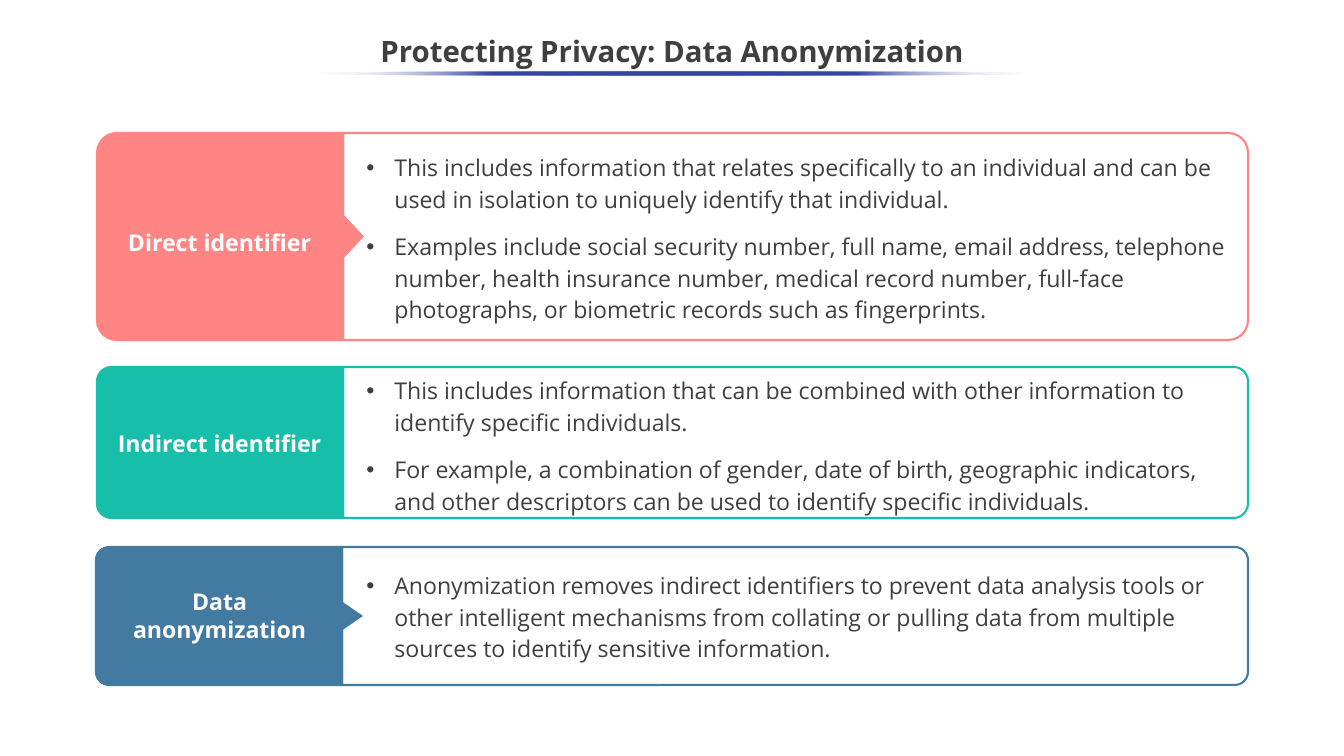
from lxml.etree import SubElement
from pptx import Presentation
from pptx.dml.color import RGBColor
from pptx.enum.shapes import MSO_SHAPE
from pptx.enum.text import MSO_ANCHOR, PP_ALIGN
from pptx.oxml import parse_xml
from pptx.oxml.ns import nsdecls, qn
from pptx.util import Pt

PX = 12095  # EMU per px, 75.6 px to the inch
FONT = "Open Sans"
DARK = RGBColor(0x3F, 0x3F, 0x3F)
WHITE = RGBColor(0xFF, 0xFF, 0xFF)
CORAL = RGBColor(0xFF, 0x85, 0x85)
TEAL = RGBColor(0x17, 0xBF, 0xAB)
BLUE = RGBColor(0x42, 0x7A, 0xA1)
NAVY = RGBColor(0x36, 0x45, 0xA9)


class Deck:
    def __init__(self, width, height):
        self.prs = Presentation()
        self.prs.slide_width, self.prs.slide_height = width * PX, height * PX
        self.s = self.prs.slides.add_slide(self.prs.slide_layouts[5])

    def font(self, p, size, color, bold=False):
        for r in p.runs:
            r.font.name, r.font.size, r.font.bold = FONT, Pt(size), bold
            r.font.color.rgb = color

    def title(self, text, x, y, w, h):
        sp = self.s.shapes.title
        sp.left, sp.top, sp.width, sp.height = (v * PX for v in (x, y, w, h))
        tf = sp.text_frame
        tf.text, tf.vertical_anchor = text, MSO_ANCHOR.MIDDLE
        p = tf.paragraphs[0]
        p.alignment, p.line_spacing = PP_ALIGN.CENTER, 0.9
        self.font(p, 28, DARK, True)

    def shape(self, kind, x, y, w, h, fill, line=None, width=2, turn=0):
        """Place a shape by its visible bounds, with quarter turns applied."""
        cx, cy = x + w / 2, y + h / 2
        if turn % 180:
            w, h = h, w
        box = (cx - w / 2, cy - h / 2, w, h)
        sp = self.s.shapes.add_shape(kind, *(int(v * PX) for v in box))
        sp.rotation = turn
        sp.shadow.inherit = False
        sp.fill.solid()
        sp.fill.fore_color.rgb = fill
        if line is None:
            sp.line.fill.background()
        else:
            sp.line.color.rgb, sp.line.width = line, Pt(width)
        return sp

    def rounded(self, x, y, w, h, fill, line, turn):
        sp = self.shape(MSO_SHAPE.ROUND_2_SAME_RECTANGLE, x, y, w, h, fill, line, turn=turn)
        sp.adjustments[0], sp.adjustments[1] = 0.095, 0

    def label(self, text, x, y, w, h, fill):
        sp = self.shape(MSO_SHAPE.RECTANGLE, x, y, w, h, fill, fill, 0.75)
        tf = sp.text_frame
        tf.text, tf.word_wrap, tf.vertical_anchor = text, True, MSO_ANCHOR.TOP
        tf.paragraphs[0].alignment = PP_ALIGN.CENTER
        self.font(tf.paragraphs[0], 22, WHITE, True)

    def bullets(self, items, x, y, w, h):
        sp = self.s.shapes.add_textbox(*(v * PX for v in (x, y, w, h)))
        tf = sp.text_frame
        tf.word_wrap = True
        for i, item in enumerate(items):
            p = tf.add_paragraph() if i else tf.paragraphs[0]
            p.text, p.line_spacing = item, 1.14
            if i:
                p.space_before = Pt(15)
            pPr = p._p.get_or_add_pPr()
            pPr.set("marL", str(28 * PX))
            pPr.set("indent", str(-28 * PX))
            color = SubElement(pPr, qn("a:buClr"))
            SubElement(color, qn("a:srgbClr"), val=str(DARK))
            SubElement(pPr, qn("a:buFont"), typeface="Arial")
            SubElement(pPr, qn("a:buChar"), char="•")
            self.font(p, 22, DARK)

    def fading_rule(self, x, y, w, h, color):
        sp = self.shape(MSO_SHAPE.OVAL, x, y, w, h, color)
        sp.fill.gradient()
        sp.fill.gradient_angle = 180
        stops = sp._element.spPr.find(qn("a:gradFill")).find(qn("a:gsLst"))
        for stop in list(stops):
            stops.remove(stop)
        for pos in (0, 25, 50, 75, 100):
            end = pos in (0, 100)
            stops.append(parse_xml(
                f'<a:gs {nsdecls("a")} pos="{pos * 1000}">'
                f'<a:srgbClr val="{WHITE if end else color}">'
                f'<a:alpha val="{0 if end else 100000}"/></a:srgbClr></a:gs>'))


# name, colour, panel (left, top, height), label (top, height), text top, pointer height, bullets
ROWS = [
    ("Direct identifier", CORAL, (343, 133, 207), (225, 36), 146, 45, [
        "This includes information that relates specifically to an individual and can be "
        "used in isolation to uniquely identify that individual.",
        "Examples include social security number, full name, email address, telephone "
        "number, health insurance number, medical record number, full-face photographs, "
        "or biometric records such as fingerprints."]),
    ("Indirect identifier", TEAL, (343, 367, 151), (426, 36), 369, 0, [
        "This includes information that can be combined with other information to "
        "identify specific individuals.",
        "For example, a combination of gender, date of birth, geographic indicators, "
        "and other descriptors can be used to identify specific individuals."]),
    ("Data anonymization", BLUE, (342, 547, 138), (584, 64), 564, 29, [
        "Anonymization removes indirect identifiers to prevent data analysis tools or "
        "other intelligent mechanisms from collating or pulling data from multiple "
        "sources to identify sensitive information."]),
]
RIGHT, TAB_W = 1248, 246


def main():
    deck = Deck(1344, 756)

    # Heading
    deck.title("Protecting Privacy: Data Anonymization", 0, 25, 1344, 55)
    deck.fading_rule(308, 72, 730, 3, NAVY)

    # One panel, tab, pointer, label and text per row
    for name, color, (x, y, h), (label_y, label_h), text_y, tip, items in ROWS:
        deck.rounded(x, y, RIGHT - x, h, WHITE, color, 90)
        deck.rounded(x - TAB_W, y, TAB_W, h, color, color, 270)
        if tip:
            deck.shape(MSO_SHAPE.ISOSCELES_TRIANGLE, x, y + (h - tip) / 2, 21, tip, color, turn=90)
        deck.label(name, 103, label_y, 233, label_h, color)
        deck.bullets(items, 359, text_y, 879, y + h - text_y)

    deck.prs.save("out.pptx")


if __name__ == "__main__":
    main()
